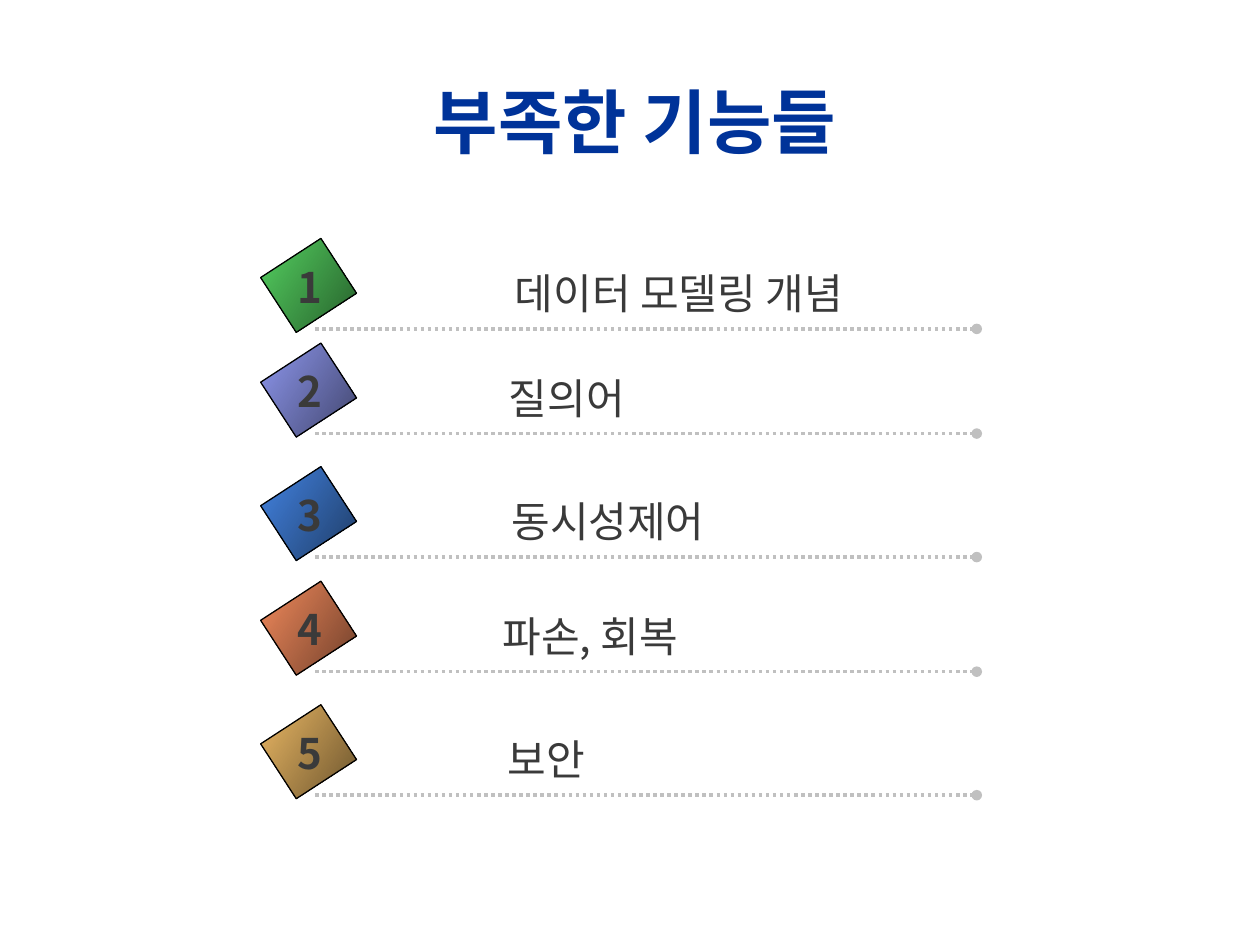
from dataclasses import dataclass

from lxml import etree
from pptx import Presentation
from pptx.dml.color import RGBColor
from pptx.enum.dml import MSO_LINE
from pptx.enum.shapes import MSO_CONNECTOR, MSO_SHAPE
from pptx.enum.text import MSO_ANCHOR, MSO_AUTO_SIZE, PP_ALIGN
from pptx.oxml.ns import qn
from pptx.shapes.group import GroupShape
from pptx.text.text import TextFrame
from pptx.util import Cm, Pt

RECTANGLE = MSO_SHAPE.RECTANGLE
STRAIGHT = MSO_CONNECTOR.STRAIGHT
DOTTED = MSO_LINE.ROUND_DOT
MIDDLE = MSO_ANCHOR.MIDDLE
CENTER = PP_ALIGN.CENTER
GROW = MSO_AUTO_SIZE.SHAPE_TO_FIT_TEXT

FONT = "Noto Sans CJK KR"
NAVY = RGBColor(0x00, 0x33, 0x99)
CHARCOAL = RGBColor(0x3A, 0x3A, 0x3A)
SILVER = RGBColor(0xC0, 0xC0, 0xC0)
BLACK = RGBColor(0x00, 0x00, 0x00)
GREEN, DARK_GREEN = RGBColor(0x54, 0xD0, 0x60), RGBColor(0x27, 0x60, 0x2C)
VIOLET, DARK_VIOLET = RGBColor(0x8E, 0x97, 0xEE), RGBColor(0x42, 0x46, 0x6E)
BLUE, DARK_BLUE = RGBColor(0x43, 0x83, 0xE1), RGBColor(0x1F, 0x3D, 0x68)
ORANGE, DARK_ORANGE = RGBColor(0xF2, 0x8A, 0x5C), RGBColor(0x70, 0x40, 0x2B)
GOLD, DARK_GOLD = RGBColor(0xEA, 0xB7, 0x64), RGBColor(0x6C, 0x55, 0x2E)

# Horizontal places shared by all rows, and heights above the dotted line (cm)
LINE_LEFT, LINE_RIGHT = 6.35, 19.69
TILE_LEFT, TILE_RISE, TILE_WIDTH, TILE_HEIGHT = 5.56, 1.6, 1.32, 1.45
NUMBER_LEFT, NUMBER_RISE, NUMBER_WIDTH = 5.74, 1.49, 0.97
LABEL_RISE, TEXT_HEIGHT = 1.36, 1.27
TILE_TURN, GRADIENT_ANGLE = 57, 33


@dataclass(frozen=True)
class Item:
    label: str
    line_y: float
    label_left: float
    label_width: float
    light: RGBColor
    dark: RGBColor


ITEMS = (
    Item("데이터 모델링 개념", 6.63, 10.13, 7.57, GREEN, DARK_GREEN),
    Item("질의어", 8.74, 10.01, 2.95, VIOLET, DARK_VIOLET),
    Item("동시성제어", 11.23, 10.06, 4.6, BLUE, DARK_BLUE),
    Item("파손, 회복", 13.54, 9.88, 4.62, ORANGE, DARK_ORANGE),
    Item("보안", 16.03, 9.98, 2.13, GOLD, DARK_GOLD),
)


def write(frame: TextFrame, text: str, size: int, color: RGBColor, bold: bool) -> None:
    frame.text = text
    for span in frame.paragraphs[0].runs:
        span.font.name = FONT
        span.font.size = Pt(size)
        span.font.bold = bold
        span.font.color.rgb = color
        east_asian = etree.SubElement(span.font._element, qn("a:ea"))
        east_asian.set("typeface", FONT)


def add_dotted_line(row: GroupShape, y: float) -> None:
    connector = row.shapes.add_connector(
        STRAIGHT, Cm(LINE_LEFT), Cm(y), Cm(LINE_RIGHT), Cm(y))
    connector.line.color.rgb = SILVER
    connector.line.width = Pt(2)
    connector.line.dash_style = DOTTED
    properties = connector._element.spPr
    etree.SubElement(properties.find(qn("a:ln")), qn("a:tailEnd")).set("type", "oval")
    etree.SubElement(properties, qn("a:effectLst"))


def add_tile(row: GroupShape, item: Item) -> None:
    tile = row.shapes.add_shape(
        RECTANGLE, Cm(TILE_LEFT), Cm(item.line_y - TILE_RISE),
        Cm(TILE_WIDTH), Cm(TILE_HEIGHT))
    tile.shadow.inherit = False
    tile.rotation = TILE_TURN
    tile.line.color.rgb = BLACK
    tile.line.width = Pt(0.75)
    tile.fill.gradient()
    tile.fill.gradient_angle = 360 - GRADIENT_ANGLE
    for stop, color in zip(tile.fill.gradient_stops, (item.light, item.dark)):
        stop.color.rgb = color
    # The shading keeps its direction while the tile turns
    tile._element.spPr.find(qn("a:gradFill")).set("rotWithShape", "0")


def add_text(row: GroupShape, text: str, left: float, top: float,
             width: float, bold: bool) -> None:
    box = row.shapes.add_textbox(Cm(left), Cm(top), Cm(width), Cm(TEXT_HEIGHT))
    box.text_frame.word_wrap = False
    box.text_frame.auto_size = GROW
    write(box.text_frame, text, 24, CHARCOAL, bold)


def main() -> None:
    deck = Presentation()
    deck.slide_width, deck.slide_height = Cm(25.4), Cm(19.05)
    page = deck.slides.add_slide(deck.slide_layouts[6])

    # Title
    title = page.shapes.add_textbox(Cm(1.9), Cm(1.7), Cm(21.8), Cm(1.47))
    title.text_frame.word_wrap = True
    title.text_frame.vertical_anchor = MIDDLE
    write(title.text_frame, "부족한 기능들", 40, NAVY, True)
    title.text_frame.paragraphs[0].alignment = CENTER

    # Numbered rows
    for number, item in enumerate(ITEMS, start=1):
        row = page.shapes.add_group_shape()
        add_dotted_line(row, item.line_y)
        add_tile(row, item)
        add_text(row, item.label, item.label_left, item.line_y - LABEL_RISE,
                 item.label_width, False)
        add_text(row, str(number), NUMBER_LEFT, item.line_y - NUMBER_RISE,
                 NUMBER_WIDTH, True)

    deck.save("out.pptx")


if __name__ == "__main__":
    main()
